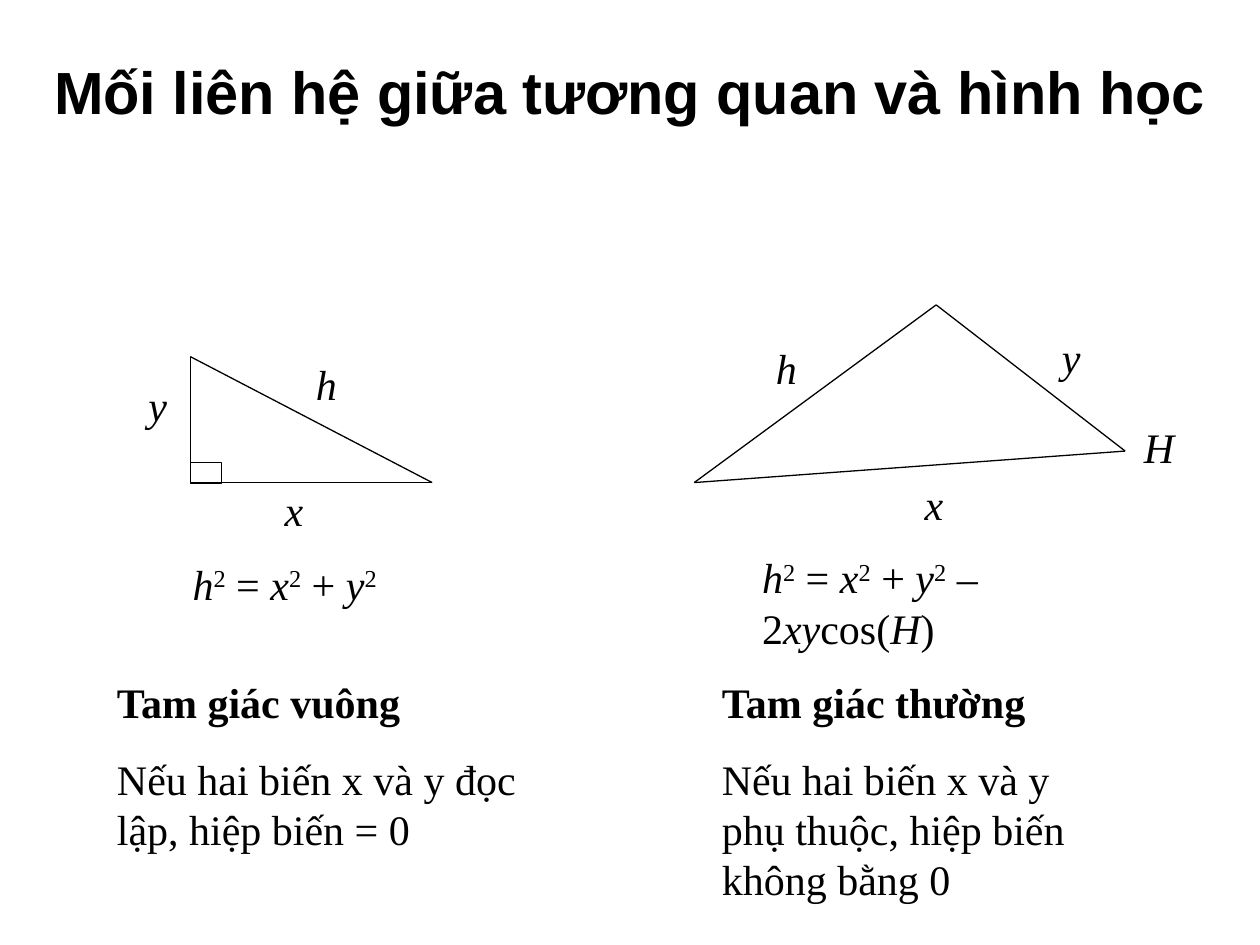
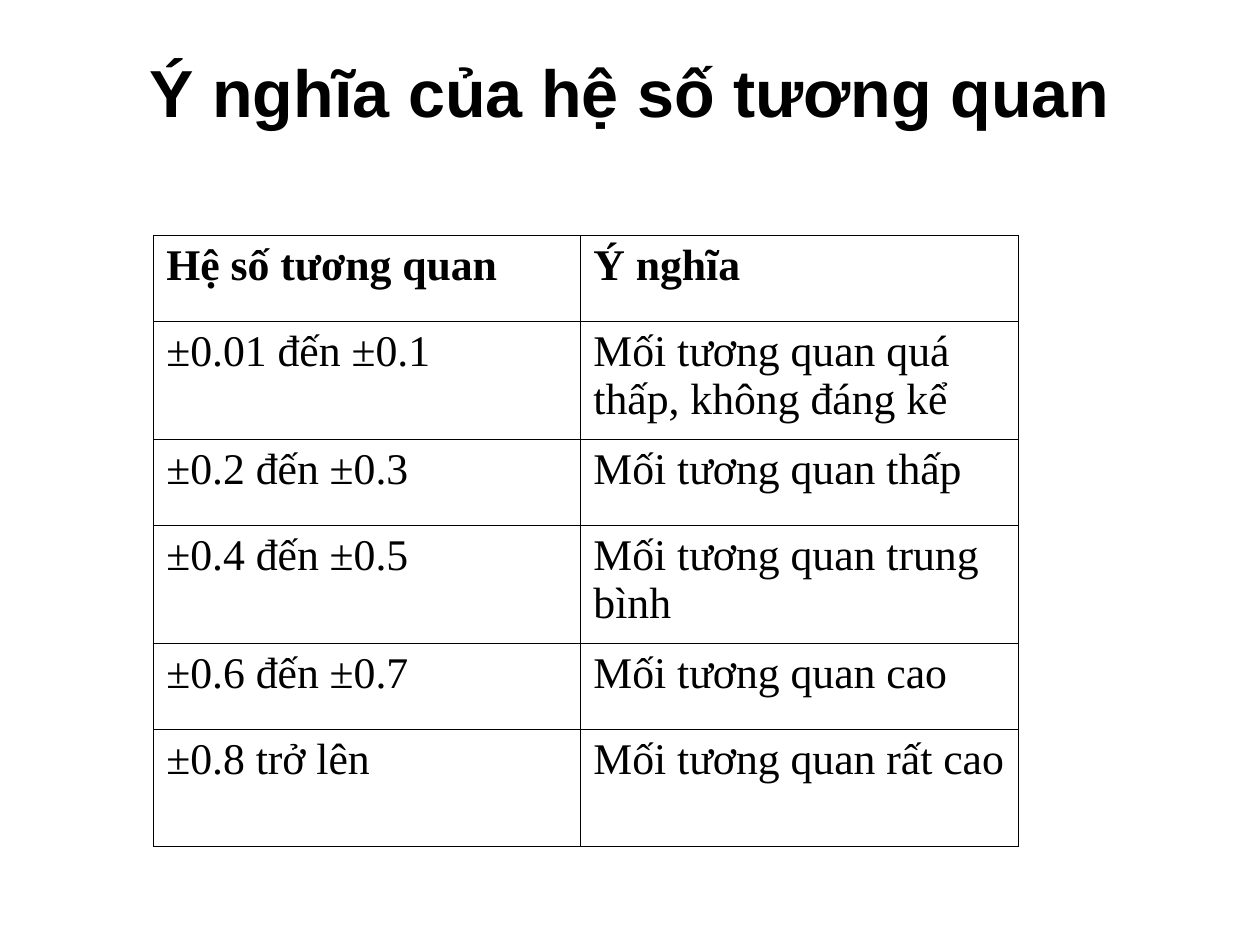
"""Build two slides on correlation: its geometry and the meaning of its coefficient."""
import pptx
import pptx.dml.color
import pptx.enum.shapes
import pptx.enum.text
import pptx.oxml
import pptx.oxml.ns
import pptx.util
from pptx.util import Inches

BLACK = "000000"
SANS, SERIF = "Arial", "Times New Roman"
ALIGN = pptx.enum.text.PP_ALIGN

TITLES = [
    ("Mối liên hệ giữa tương quan và hình học", 34, 9.45),
    ("Ý nghĩa của hệ số tương quan", 38, 8.5),
]
TITLE_TOP, TITLE_HEIGHT = 0.21, 1.02

PYTHAGORAS = [("h", "i"), ("2", "^"), (" = ", ""), ("x", "i"), ("2", "^"),
              (" + ", ""), ("y", "i"), ("2", "^")]
COSINE_RULE = PYTHAGORAS + [(" – ", "i"), ("2", ""), ("xy", "i"),
                            ("cos(", ""), ("H", "i"), (")", "")]

TRIANGLES = [
    {
        "corners": [(1.51, 2.83), (1.51, 3.83), (3.43, 3.83)],
        "labels": [("y", 1.08, 2.96, 0.35), ("x", 2.16, 3.8, 0.35), ("h", 2.41, 2.8, 0.36)],
        "formula": (PYTHAGORAS, 1.43, 4.38, 1.66),
        "note": ("Tam giác vuông", "Nếu hai biến x và y đọc lập, hiệp biến = 0"),
        "note_box": (0.83, 5.32, 3.54, 1.51),
    },
    {
        "corners": [(5.51, 3.83), (7.43, 2.42), (8.93, 3.58)],
        "labels": [("x", 7.24, 3.75, 0.35), ("y", 8.33, 2.58, 0.35),
                   ("h", 6.06, 2.67, 0.36), ("H", 8.98, 3.3, 0.44)],
        "formula": (COSINE_RULE, 5.95, 4.33, 3.36),
        "note": ("Tam giác thường", "Nếu hai biến x và y phụ thuộc, hiệp biến không bằng 0"),
        "note_box": (5.63, 5.32, 2.99, 1.91),
    },
]
RIGHT_ANGLE = (1.51, 3.67, 0.25, 0.17)
LABEL_HEIGHT = 0.5

MEANINGS = [
    ("Hệ số tương quan", "Ý nghĩa"),
    ("±0.01 đến ±0.1", "Mối tương quan quá thấp, không đáng kể"),
    ("±0.2 đến ±0.3", "Mối tương quan thấp"),
    ("±0.4 đến ±0.5", "Mối tương quan trung bình"),
    ("±0.6 đến ±0.7", "Mối tương quan cao"),
    ("±0.8 trở lên", "Mối tương quan rất cao"),
]
TABLE_BOX = (1.22, 1.87, 6.86, 4.85)
COLUMN_WIDTHS = (3.39, 3.47)
ROW_HEIGHTS = (0.68, 0.94, 0.68, 0.94, 0.68, 0.93)


def color(value):
    return pptx.dml.color.RGBColor.from_string(value)


def write(p, text, size=24, font=SERIF, bold=False, align=ALIGN.LEFT, before=0):
    p.alignment = align
    p.space_before = pptx.util.Pt(before)
    for part, style in [(text, "")] if isinstance(text, str) else text:
        r = p.add_run()
        r.text = part
        r.font.name, r.font.size = font, pptx.util.Pt(size)
        r.font.bold, r.font.italic = bold, style == "i"
        r.font.color.rgb = color(BLACK)
        if style == "^":
            r.font._element.set("baseline", "30000")


def add_box(slide, box, wrap=False):
    tf = slide.shapes.add_textbox(*map(Inches, box)).text_frame
    tf.word_wrap = wrap
    return tf


def add_title(slide, text, size, width):
    tf = add_box(slide, ((10 - width) / 2, TITLE_TOP, width, TITLE_HEIGHT), wrap=True)
    tf.margin_left = tf.margin_right = 0
    tf.vertical_anchor = pptx.enum.text.MSO_ANCHOR.MIDDLE
    write(tf.paragraphs[0], text, size=size, font=SANS, bold=True, align=ALIGN.CENTER)


def style_line(line):
    line.color.rgb = color(BLACK)
    line.width = pptx.util.Pt(0.75)


def add_triangle(slide, corners, labels, formula, note, note_box):
    for start, end in zip(corners, corners[1:] + corners[:1]):
        side = slide.shapes.add_connector(
            pptx.enum.shapes.MSO_CONNECTOR.STRAIGHT, *map(Inches, start + end))
        style_line(side.line)
        pptx.oxml.ns.qn("a:effectLst")
        side._element.spPr.append(pptx.oxml.parse_xml(
            f'<a:effectLst {pptx.oxml.ns.nsdecls("a")}/>'))
    for text, left, top, width in [([(n, "i")], *at) for n, *at in labels] + [formula]:
        tf = add_box(slide, (left, top, width, LABEL_HEIGHT))
        write(tf.paragraphs[0], text)
    tf = add_box(slide, note_box, wrap=True)
    heading, body = note
    write(tf.paragraphs[0], heading, bold=True, before=15)
    write(tf.add_paragraph(), body, before=15)


def add_right_angle(slide):
    sp = slide.shapes.add_shape(pptx.enum.shapes.MSO_SHAPE.RECTANGLE, *map(Inches, RIGHT_ANGLE))
    sp.shadow.inherit = False
    sp.fill.background()
    style_line(sp.line)


def set_borders(cell):
    tc_pr = cell._tc.get_or_add_tcPr()
    for index, edge in enumerate(("lnL", "lnR", "lnT", "lnB")):
        tc_pr.insert(index, pptx.oxml.parse_xml(
            f'<a:{edge} {pptx.oxml.ns.nsdecls("a")} w="{pptx.util.Pt(0.45)}">'
            f'<a:solidFill><a:srgbClr val="{BLACK}"/></a:solidFill></a:{edge}>'))


def add_meanings(slide):
    table = slide.shapes.add_table(
        len(MEANINGS), len(COLUMN_WIDTHS), *map(Inches, TABLE_BOX)).table
    table.first_row = table.horz_banding = False
    for column, width in zip(table.columns, COLUMN_WIDTHS):
        column.width = Inches(width)
    for i, (row, height) in enumerate(zip(table.rows, ROW_HEIGHTS)):
        row.height = Inches(height)
        for cell, text in zip(row.cells, MEANINGS[i]):
            cell.fill.background()
            set_borders(cell)
            write(cell.text_frame.paragraphs[0], text, size=25, bold=i == 0,
                  align=ALIGN.LEFT if i else ALIGN.JUSTIFY)


def main():
    prs = pptx.Presentation()
    prs.slide_width, prs.slide_height = Inches(10), Inches(7.5)
    geometry, meaning = [prs.slides.add_slide(prs.slide_layouts[6]) for _ in TITLES]
    for slide, title in zip((geometry, meaning), TITLES):
        add_title(slide, *title)
    for triangle in TRIANGLES:
        add_triangle(geometry, **triangle)
    add_right_angle(geometry)
    add_meanings(meaning)
    prs.save("out.pptx")


if __name__ == "__main__":
    main()
